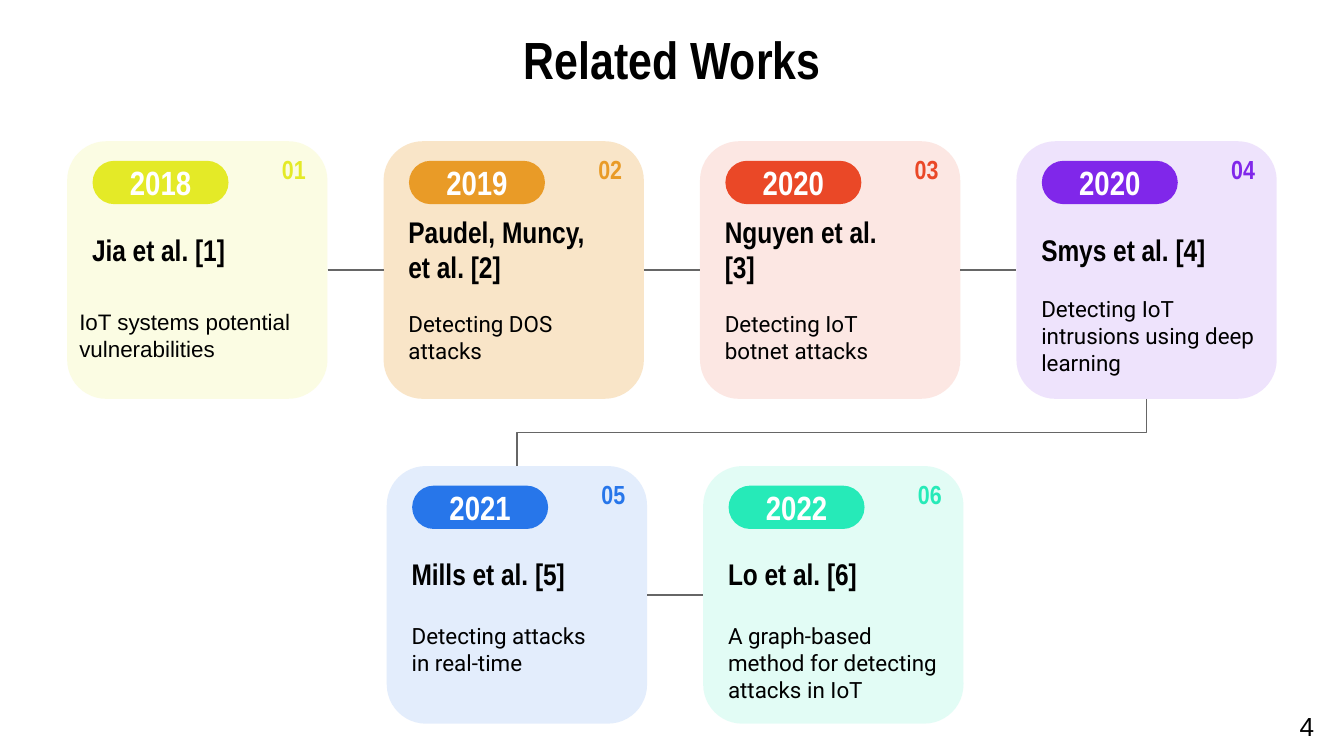
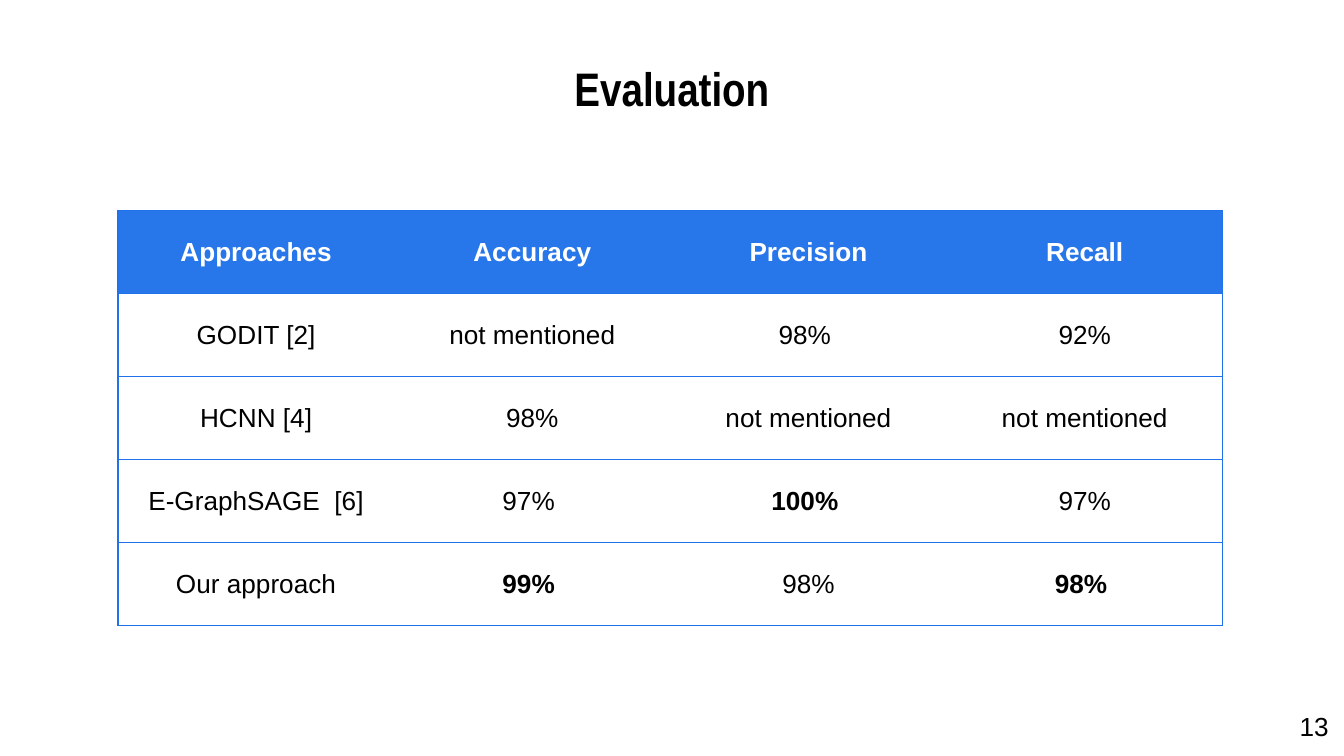
from lxml import etree
from pptx import Presentation
from pptx.dml.color import RGBColor
from pptx.enum import shapes, text
from pptx.oxml.ns import qn
from pptx.util import Cm, Pt

BLACK = RGBColor(0x00, 0x00, 0x00)
WHITE = RGBColor(0xFF, 0xFF, 0xFF)
GREY = RGBColor(0x66, 0x66, 0x66)
YELLOW = RGBColor(0xE4, 0xEA, 0x27)
ORANGE = RGBColor(0xE9, 0x9B, 0x27)
RED = RGBColor(0xEA, 0x48, 0x27)
PURPLE = RGBColor(0x80, 0x27, 0xEA)
BLUE = RGBColor(0x27, 0x76, 0xEA)
GREEN = RGBColor(0x26, 0xEA, 0xB8)
RULE = RGBColor(0x21, 0x72, 0xEA)

HEAD, BODY, NOTE = "Arial Narrow", "Arial", "Roboto"
LEFT, CENTER, RIGHT = text.PP_ALIGN.LEFT, text.PP_ALIGN.CENTER, text.PP_ALIGN.RIGHT
INSET = 0.25
TOP_SIDE, LEFT_SIDE, BOTTOM_SIDE, RIGHT_SIDE = range(4)
NO_STYLE = "{2D5ABB26-0587-4C30-8999-92F81FD0307C}"

CARD_W, CARD_H, PITCH = 4.92, 4.87, 5.98


class Deck:
    """Holds the shared style and the slide being built."""

    def __init__(self):
        self.prs = Presentation()
        self.prs.slide_width, self.prs.slide_height = Cm(25.4), Cm(14.29)
        self.s = None

    def slide(self, title, top, size, number):
        self.s = self.prs.slides.add_slide(self.prs.slide_layouts[5])
        sp = self.s.shapes.title
        sp.left, sp.top, sp.width, sp.height = Cm(1.27), Cm(top), Cm(22.86), Cm(1.04)
        self.fill_text(sp.text_frame, title, size, HEAD, BLACK, True, CENTER)
        # Page number, with a box as wide as its digits
        width = 0.51 + 0.28 * len(number)
        sp = self.s.shapes.add_textbox(Cm(24.31), Cm(13.31), Cm(width), Cm(0.86))
        self.add_run(sp.text_frame.paragraphs[0], number, 14, BODY, BLACK)
        sp.text_frame.word_wrap = False

    def add_run(self, p, words, size, font, color, bold=False):
        r = p.add_run()
        r.text = words
        r.font.size, r.font.name, r.font.bold = Pt(size), font, bold
        r.font.color.rgb = color

    def fill_text(self, tf, words, size, font, color, bold=False, align=LEFT):
        tf.word_wrap = True
        tf.auto_size = text.MSO_AUTO_SIZE.NONE
        tf.vertical_anchor = text.MSO_ANCHOR.MIDDLE
        tf.margin_left = tf.margin_right = tf.margin_top = tf.margin_bottom = Cm(INSET)
        p = tf.paragraphs[0]
        p.alignment = align
        self.add_run(p, words, size, font, color, bold)

    def label(self, parent, box, words, *style):
        sp = parent.add_textbox(*map(Cm, box))
        self.fill_text(sp.text_frame, words, *style)
        return sp

    def rounded(self, parent, box, color, corner, opacity=None):
        sp = parent.add_shape(shapes.MSO_SHAPE.ROUNDED_RECTANGLE, *map(Cm, box))
        sp.adjustments[0] = corner
        sp.shadow.inherit = False
        sp.fill.solid()
        sp.fill.fore_color.rgb = color
        sp.line.fill.background()
        if opacity:
            clr = sp._element.spPr.find(qn("a:solidFill")).find(qn("a:srgbClr"))
            etree.SubElement(clr, qn("a:alpha")).set("val", str(opacity * 1000))
        return sp

    def card(self, x, y, number, year, color, name, note, opacity=13,
             font=NOTE, note_dx=0.22, note_w=4.06, note_h=1.68, note_bottom=INSET):
        panel = self.rounded(self.s.shapes, (x, y, CARD_W, CARD_H), color, 0.152, opacity)
        group = self.s.shapes.add_group_shape().shapes
        badge = self.rounded(group, (x + 0.48, y + 0.37, 2.57, 0.82), color, 0.5)
        self.fill_text(badge.text_frame, year, 18, HEAD, WHITE, True, CENTER)
        self.label(group, (x + 0.22, y + 1.2, 4.06, 1.68), name, 16, HEAD, BLACK, True)
        sp = self.label(group, (x + note_dx, y + 2.87, note_w, note_h), note, 12, font, BLACK)
        sp.text_frame.margin_bottom = Cm(note_bottom)
        self.label(group, (x + 3.72, y, 1.04, 1.04), f"{number:02}", 14, HEAD, color, True, RIGHT)
        return panel

    def connect(self, kind, start, start_side, end, end_side):
        c = self.s.shapes.add_connector(kind, 0, 0, 0, 0)
        c.begin_connect(start, start_side)
        c.end_connect(end, end_side)
        c.line.color.rgb, c.line.width = GREY, Pt(0.75)
        etree.SubElement(c._element.spPr, qn("a:effectLst"))
        return c

    def straight(self, start, end):
        self.connect(shapes.MSO_CONNECTOR.STRAIGHT, start, RIGHT_SIDE, end, LEFT_SIDE)

    def step_down(self, start, end):
        """Elbow from a bottom side to a top side further left: a quarter turn."""
        c = self.connect(shapes.MSO_CONNECTOR.ELBOW, start, BOTTOM_SIDE, end, TOP_SIDE)
        mid_x, mid_y = (c.begin_x + c.end_x) // 2, (c.begin_y + c.end_y) // 2
        w, h = c.end_y - c.begin_y, c.begin_x - c.end_x
        c.left, c.top, c.width, c.height = mid_x - w // 2, mid_y - h // 2, w, h
        xfrm = c._element.spPr.find(qn("a:xfrm"))
        xfrm.attrib.pop("flipH", None)
        xfrm.set("rot", "5400000")

    def border(self, cell, sides):
        tcPr = cell._tc.get_or_add_tcPr()
        for i, side in enumerate(("L", "R", "T", "B")):
            ln = etree.Element(qn(f"a:ln{side}"), w=str(Pt(0.75)))
            if side in sides:
                fill = etree.SubElement(ln, qn("a:solidFill"))
                etree.SubElement(fill, qn("a:srgbClr"), val=str(RULE))
            else:
                etree.SubElement(ln, qn("a:noFill"))
            tcPr.insert(i, ln)

    def table(self, rows, bold_cells, x, y, col_w, row_h):
        n_rows, n_cols = len(rows), len(rows[0])
        frame = self.s.shapes.add_table(n_rows, n_cols, Cm(x), Cm(y),
                                        Cm(col_w * n_cols), Cm(row_h * n_rows))
        tbl = frame.table
        tbl.horz_banding = False
        frame._element.find(".//" + qn("a:tableStyleId")).text = NO_STYLE
        for col in tbl.columns:
            col.width = Cm(col_w)
        for i, row in enumerate(rows):
            tbl.rows[i].height = Cm(row_h)
            for j, words in enumerate(row):
                cell, header = tbl.cell(i, j), i == 0
                cell.vertical_anchor = text.MSO_ANCHOR.MIDDLE
                p = cell.text_frame.paragraphs[0]
                p.alignment = CENTER
                self.add_run(p, words, 14, BODY, WHITE if header else BLACK,
                             header or (i, j) in bold_cells)
                if header:
                    cell.fill.solid()
                    cell.fill.fore_color.rgb = BLUE
                else:
                    cell.fill.background()
                self.border(cell, "TB" + "L" * (j == 0) + "R" * (j == n_cols - 1))


def related_works(deck):
    deck.slide("Related Works", 0.58, 28, "4")
    # Year, colour, authors, topic and what differs from the usual card
    works = [
        ("2018", YELLOW, "Jia et al. [1]", "IoT systems potential vulnerabilities",
         dict(font=BODY, note_dx=-0.02, note_w=4.78, note_h=1.6)),
        ("2019", ORANGE, "Paudel, Muncy, et al. [2]", "Detecting DOS attacks",
         dict(opacity=25)),
        ("2020", RED, "Nguyen et al. [3]", "Detecting IoT botnet attacks", {}),
        ("2020", PURPLE, "Smys et al. [4]", "Detecting IoT intrusions using deep learning",
         dict(note_w=4.55, note_h=1.6)),
        ("2021", BLUE, "Mills et al. [5]", "Detecting attacks in real-time",
         dict(note_bottom=0.75)),
        ("2022", GREEN, "Lo et al. [6]", "A graph-based method for detecting attacks in IoT",
         dict(note_w=4.72)),
    ]
    # Four cards above, two below
    places = [(1.27 + PITCH * i, 2.67) for i in range(4)]
    places += [(7.31 + PITCH * i, 8.81) for i in range(2)]
    cards = [deck.card(x, y, n, *work, **changes)
             for n, ((x, y), (*work, changes)) in enumerate(zip(places, works), 1)]
    # Timeline
    for start, end in zip(cards, cards[1:]):
        if start.top == end.top:
            deck.straight(start, end)
        else:
            deck.step_down(start, end)


def evaluation(deck):
    deck.slide("Evaluation", 1.14, 25.2, "13")
    rows = [
        ("Approaches", "Accuracy", "Precision", "Recall"),
        ("GODIT [2]", "not mentioned", "98% ", "92%"),
        ("HCNN [4]", "98%", "not mentioned", "not mentioned"),
        ("E-GraphSAGE  [6]", "97% ", "100% ", "97%"),
        ("Our approach", "99% ", "98%", "98% "),
    ]
    best = {(3, 2), (4, 1), (4, 3)}
    deck.table(rows, best, 2.23, 3.98, 5.22, 1.57)


def main():
    deck = Deck()
    related_works(deck)
    evaluation(deck)
    deck.prs.save("out.pptx")


if __name__ == "__main__":
    main()
